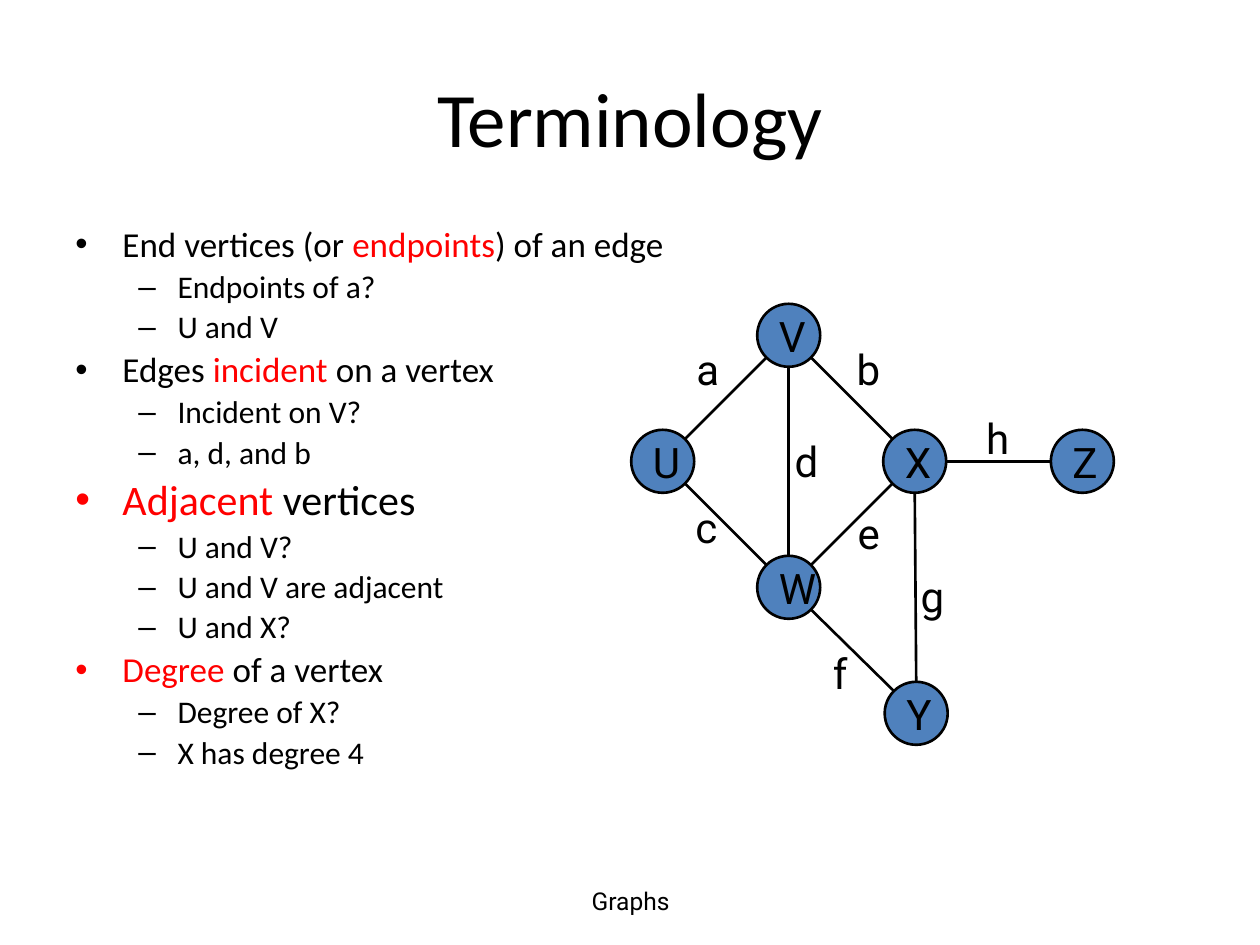
from dataclasses import dataclass
from math import atan2, cos, pi, sin

from lxml.etree import SubElement
from pptx import Presentation
from pptx.dml.color import RGBColor
from pptx.enum.shapes import MSO_CONNECTOR, MSO_SHAPE
from pptx.enum.text import MSO_ANCHOR, MSO_AUTO_SIZE, PP_ALIGN
from pptx.oxml.ns import qn
from pptx.util import Cm, Pt

BLACK, RED, BLUE = "000000", "FF0000", "4F81BD"
RADIUS = 0.635
LABEL_HEIGHT = 1.27


@dataclass
class Vertex:
    name: str
    x: float  # centre, in cm
    y: float


@dataclass
class EdgeLabel:
    text: str
    left: float
    top: float
    width: float


@dataclass
class Topic:
    runs: list[tuple[str, str]]
    details: list[str]
    size: int = 20


VERTICES = [
    Vertex("U", 13.36, 9.3),
    Vertex("V", 15.9, 6.76),
    Vertex("W", 15.9, 11.84),
    Vertex("X", 18.44, 9.3),
    Vertex("Y", 18.47, 14.38),
    Vertex("Z", 21.82, 9.3),
]
EDGES = ["VU", "WU", "WX", "VX", "VW", "WY", "XY", "XZ"]
EDGE_LABELS = [
    EdgeLabel("a", 13.79, 6.81, 0.97),
    EdgeLabel("b", 17.02, 6.81, 0.99),
    EdgeLabel("c", 13.77, 9.98, 0.91),
    EdgeLabel("d", 15.77, 8.66, 0.99),
    EdgeLabel("e", 17.04, 10.11, 0.97),
    EdgeLabel("f", 16.54, 12.93, 0.79),
    EdgeLabel("g", 18.31, 11.38, 0.99),
    EdgeLabel("h", 19.63, 8.2, 0.99),
]
TOPICS = [
    Topic([("End vertices (or ", BLACK), ("endpoints", RED), (") of an edge", BLACK)],
          ["Endpoints of a?", "U and V"]),
    Topic([("Edges ", BLACK), ("incident", RED), (" on a vertex", BLACK)],
          ["Incident on V?", "a, d, and b"]),
    Topic([("Adjacent", RED), (" vertices", BLACK)],
          ["U and V?", "U and V are adjacent", "U and X?"], size=24),
    Topic([("Degree", RED), (" of a vertex", BLACK)],
          ["Degree of X?", "X has degree 4"]),
]


def colour(value: str) -> RGBColor:
    return RGBColor.from_string(value)


def add_run(paragraph, text: str, *, size: int, font: str = "Roboto",
            color: str = BLACK) -> None:
    run = paragraph.add_run()
    run.text = text
    run.font.size = Pt(size)
    run.font.name = font
    run.font.color.rgb = colour(color)


def add_text(slide, text: str, left: float, top: float, width: float, height: float,
             *, wrap: bool = True, anchor=MSO_ANCHOR.MIDDLE, align=PP_ALIGN.CENTER,
             grow: bool = False, **run_format) -> None:
    box = slide.shapes.add_textbox(Cm(left), Cm(top), Cm(width), Cm(height))
    frame = box.text_frame
    frame.word_wrap = wrap
    frame.vertical_anchor = anchor
    frame.auto_size = MSO_AUTO_SIZE.SHAPE_TO_FIT_TEXT if grow else MSO_AUTO_SIZE.NONE
    frame.paragraphs[0].alignment = align
    add_run(frame.paragraphs[0], text, **run_format)


def format_bullet(paragraph, level: int) -> None:
    indent, hanging, character = [(0.95, 0.95, "•"), (2.06, 0.79, "–")][level]
    paragraph.level = level
    paragraph.line_spacing = 0.9
    properties = paragraph._p.get_or_add_pPr()
    properties.set("marL", str(Cm(indent)))
    properties.set("indent", str(-Cm(hanging)))
    space_before = SubElement(properties, qn("a:spcBef"))
    SubElement(space_before, qn("a:spcPct"), val="20000")
    SubElement(properties, qn("a:buFont"), typeface="Arial")
    SubElement(properties, qn("a:buChar"), char=character)


def add_topics(slide, topics: list[Topic]) -> None:
    box = slide.shapes.add_textbox(Cm(1.27), Cm(4.45), Cm(22.86), Cm(12.57))
    frame = box.text_frame
    frame.word_wrap = True
    lines = []
    for topic in topics:
        lines.append((0, topic.size, topic.runs))
        lines += [(1, 18, [(detail, BLACK)]) for detail in topic.details]
    for index, (level, size, runs) in enumerate(lines):
        paragraph = frame.add_paragraph() if index else frame.paragraphs[0]
        format_bullet(paragraph, level)
        for text, color in runs:
            add_run(paragraph, text, size=size, font="Calibri", color=color)


def add_vertex(slide, vertex: Vertex) -> None:
    shape = slide.shapes.add_shape(
        MSO_SHAPE.OVAL, Cm(vertex.x - RADIUS), Cm(vertex.y - RADIUS),
        Cm(2 * RADIUS), Cm(2 * RADIUS))
    shape.shadow.inherit = False
    shape.fill.solid()
    shape.fill.fore_color.rgb = colour(BLUE)
    shape.line.color.rgb = colour(BLACK)
    shape.line.width = Pt(1.5)
    frame = shape.text_frame
    frame.word_wrap = False
    frame.vertical_anchor = MSO_ANCHOR.MIDDLE
    frame.paragraphs[0].alignment = PP_ALIGN.LEFT
    add_run(frame.paragraphs[0], vertex.name, size=24)


def add_edge(slide, start: Vertex, end: Vertex) -> None:
    # Edges leave each circle at the nearest multiple of 45 degrees
    angle = round(atan2(end.y - start.y, end.x - start.x) / (pi / 4)) * pi / 4
    dx, dy = RADIUS * cos(angle), RADIUS * sin(angle)
    line = slide.shapes.add_connector(
        MSO_CONNECTOR.STRAIGHT, Cm(start.x + dx), Cm(start.y + dy),
        Cm(end.x - dx), Cm(end.y - dy))
    line.line.color.rgb = colour(BLACK)
    line.line.width = Pt(1.5)
    SubElement(line._element.spPr, qn("a:effectLst"))


def main() -> None:
    presentation = Presentation()
    presentation.slide_width, presentation.slide_height = Cm(25.4), Cm(19.05)
    slide = presentation.slides.add_slide(presentation.slide_layouts[6])

    # Title, bullets and footer
    add_text(slide, "Terminology", 1.27, 0.76, 22.86, 3.18, size=44, font="Calibri")
    add_topics(slide, TOPICS)
    add_text(slide, "Graphs", 8.69, 17.65, 8.05, 1.02, size=14)

    # Graph
    by_name = {vertex.name: vertex for vertex in VERTICES}
    for vertex in VERTICES:
        add_vertex(slide, vertex)
    for start, end in EDGES:
        add_edge(slide, by_name[start], by_name[end])
    for label in EDGE_LABELS:
        add_text(slide, label.text, label.left, label.top, label.width, LABEL_HEIGHT,
                 wrap=False, anchor=MSO_ANCHOR.TOP, align=PP_ALIGN.LEFT, grow=True,
                 size=24)

    presentation.save("out.pptx")


if __name__ == "__main__":
    main()
